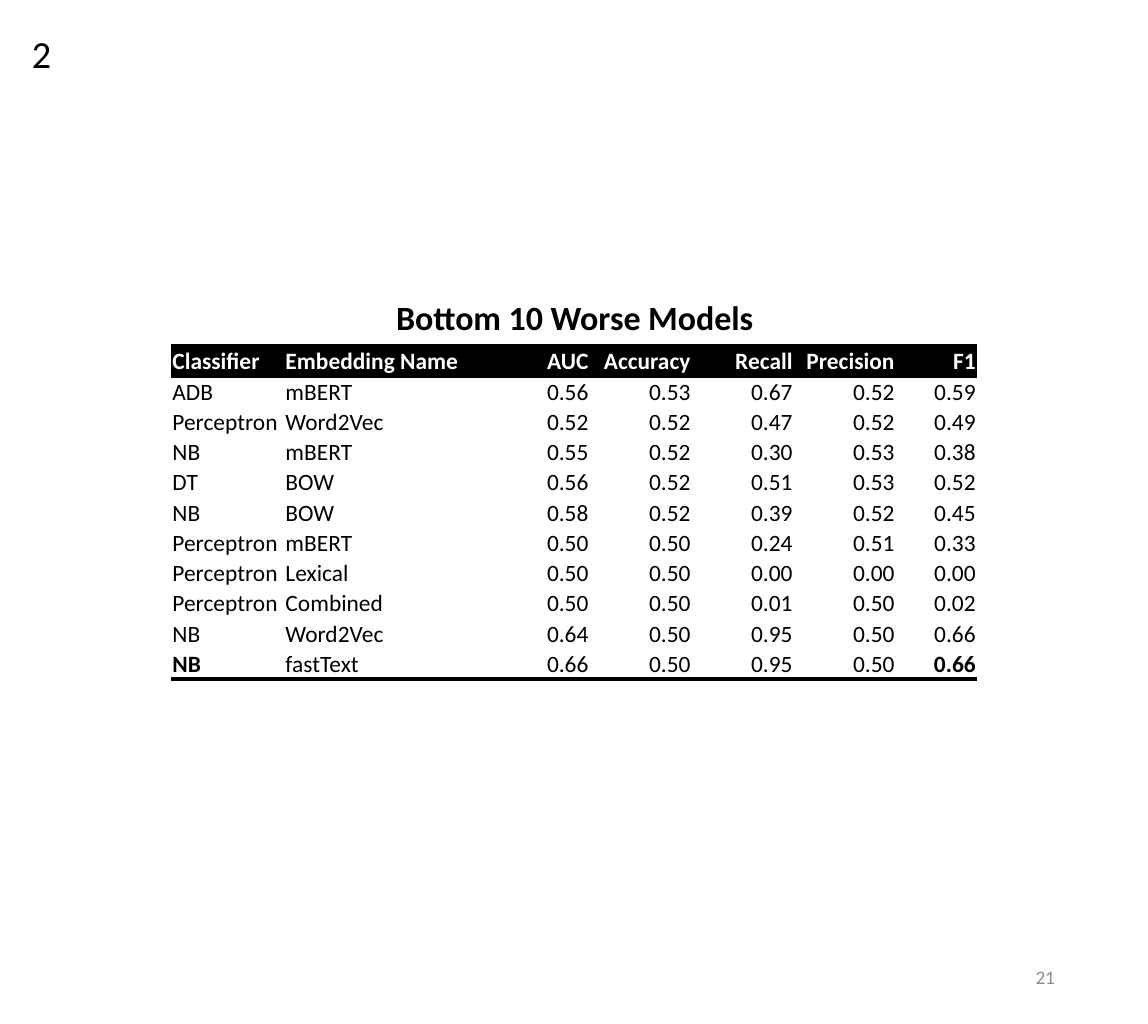
import pptx
import pptx.util
import pptx.dml.color
import pptx.enum.text
import pptx.oxml
import pptx.oxml.ns

Pt = pptx.util.Pt
ALIGN = pptx.enum.text.PP_ALIGN
ANCHOR = pptx.enum.text.MSO_ANCHOR

FONT = "Calibri"
COLORS = {"ink": "000000", "paper": "FFFFFF", "muted": "8C8C8C"}
NO_STYLE = "{2D5ABB26-0587-4C30-8999-92F81FD0307C}"

# text, box (left, top, width, height), size, colour, bold, align, anchor, wrap
LABELS = [
    ("Bottom 10 Worse Models", (135.4, 136.1, 270, 26.6), 16, "ink", True,
     ALIGN.CENTER, ANCHOR.TOP, True),
    ("21", (381.6, 446.4, 121.7, 25.9), 9, "muted", False,
     ALIGN.RIGHT, ANCHOR.MIDDLE, True),
    ("2", (7.9, 10.8, 23.8, 28.8), 18, "ink", False,
     ALIGN.LEFT, ANCHOR.TOP, False),
]

HEADER = ("Classifier", "Embedding Name", "AUC", "Accuracy", "Recall", "Precision", "F1")
MODELS = [
    ("ADB", "mBERT", 0.56, 0.53, 0.67, 0.52, 0.59),
    ("Perceptron", "Word2Vec", 0.52, 0.52, 0.47, 0.52, 0.49),
    ("NB", "mBERT", 0.55, 0.52, 0.30, 0.53, 0.38),
    ("DT", "BOW", 0.56, 0.52, 0.51, 0.53, 0.52),
    ("NB", "BOW", 0.58, 0.52, 0.39, 0.52, 0.45),
    ("Perceptron", "mBERT", 0.50, 0.50, 0.24, 0.51, 0.33),
    ("Perceptron", "Lexical", 0.50, 0.50, 0.00, 0.00, 0.00),
    ("Perceptron", "Combined", 0.50, 0.50, 0.01, 0.50, 0.02),
    ("NB", "Word2Vec", 0.64, 0.50, 0.95, 0.50, 0.66),
    ("NB", "fastText", 0.66, 0.50, 0.95, 0.50, 0.66),
]
TABLE_LEFT, TABLE_TOP, ROW_HEIGHT = 80.5, 162.7, 14.25
COL_WIDTHS = [53.2, 95.8] + [48] * 4 + [38.2]
TEXT_COLS = 2


def rgb(name):
    return pptx.dml.color.RGBColor.from_string(COLORS[name])


def add_run(tf, text, size, color, bold, align):
    p = tf.paragraphs[0]
    p.alignment = align
    r = p.add_run()
    r.text = text
    r.font.name = FONT
    r.font.size = Pt(size)
    r.font.bold = bold
    r.font.color.rgb = rgb(color)


def add_border(cell, tag):
    """Add a black 2 pt border; call before the cell's fill is set."""
    cell._tc.get_or_add_tcPr().append(pptx.oxml.parse_xml(
        f'<a:{tag} {pptx.oxml.ns.nsdecls("a")} w="{Pt(2)}"><a:solidFill>'
        f'<a:srgbClr val="{COLORS["ink"]}"/></a:solidFill></a:{tag}>'))


def add_label(slide, text, box, size, color, bold, align, anchor, wrap):
    tf = slide.shapes.add_textbox(*map(Pt, box)).text_frame
    tf.word_wrap = wrap
    tf.vertical_anchor = anchor
    add_run(tf, text, size, color, bold, align)


def add_models_table(slide):
    rows = [HEADER] + MODELS
    last_row, last_col = len(rows) - 1, len(HEADER) - 1
    frame = slide.shapes.add_table(
        len(rows), len(HEADER), Pt(TABLE_LEFT), Pt(TABLE_TOP),
        Pt(sum(COL_WIDTHS)), Pt(ROW_HEIGHT * len(rows)))
    table = frame.table
    table.first_row = table.horz_banding = False
    table._tbl.tblPr.find(pptx.oxml.ns.qn("a:tableStyleId")).text = NO_STYLE
    for col, width in zip(table.columns, COL_WIDTHS):
        col.width = Pt(width)
    for i, values in enumerate(rows):
        table.rows[i].height = Pt(ROW_HEIGHT)
        is_header = i == 0
        for j, value in enumerate(values):
            cell = table.cell(i, j)
            cell.margin_left = cell.margin_right = cell.margin_top = Pt(0.6)
            cell.margin_bottom = Pt(0)
            cell.vertical_anchor = ANCHOR.BOTTOM
            if is_header:
                add_border(cell, "lnT")
            if i in (0, last_row):
                add_border(cell, "lnB")
            cell.fill.solid()
            cell.fill.fore_color.rgb = rgb("ink" if is_header else "paper")
            text = value if isinstance(value, str) else f"{value:.2f}"
            bold = is_header or (i == last_row and j in (0, last_col))
            add_run(cell.text_frame, text, 11, "paper" if is_header else "ink", bold,
                    ALIGN.LEFT if j < TEXT_COLS else ALIGN.RIGHT)


def main():
    prs = pptx.Presentation()
    prs.slide_width, prs.slide_height = Pt(540), Pt(481.7)
    slide = prs.slides.add_slide(prs.slide_layouts[6])
    for label in LABELS:
        add_label(slide, *label)
    add_models_table(slide)
    prs.save("out.pptx")


if __name__ == "__main__":
    main()
